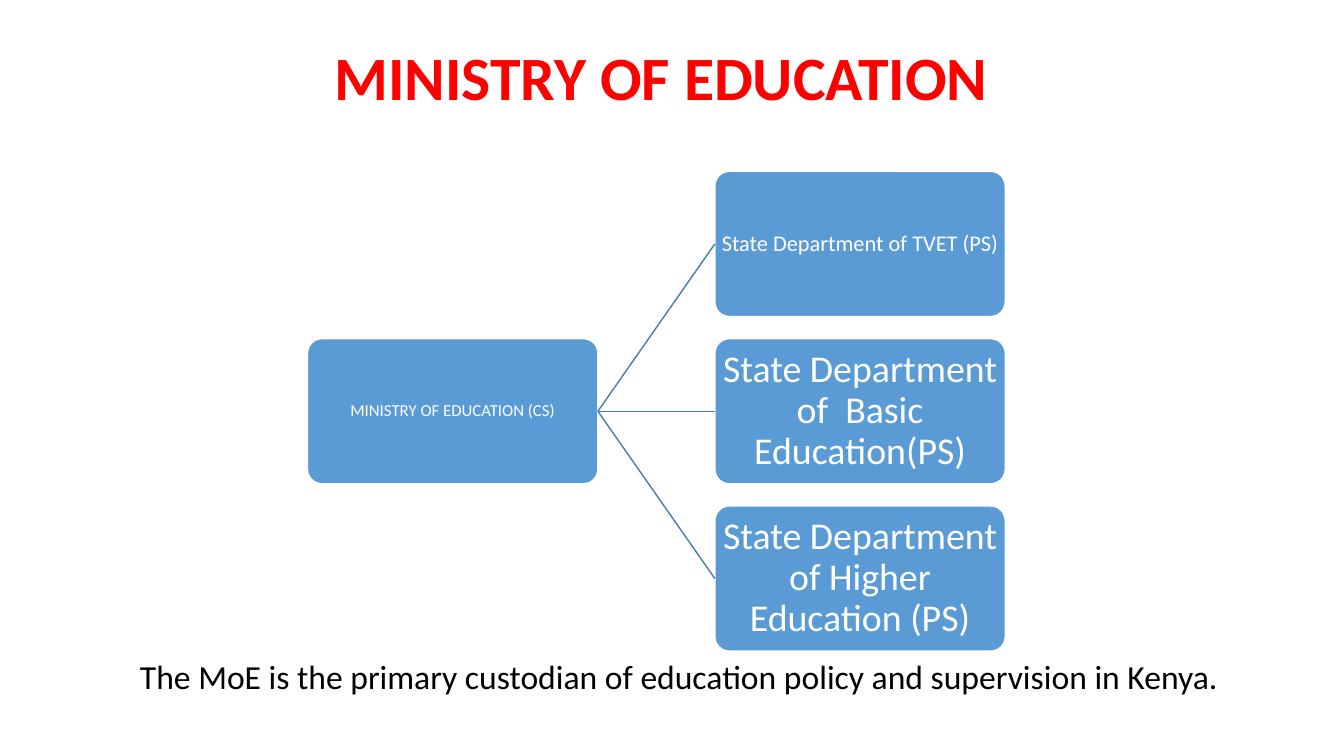
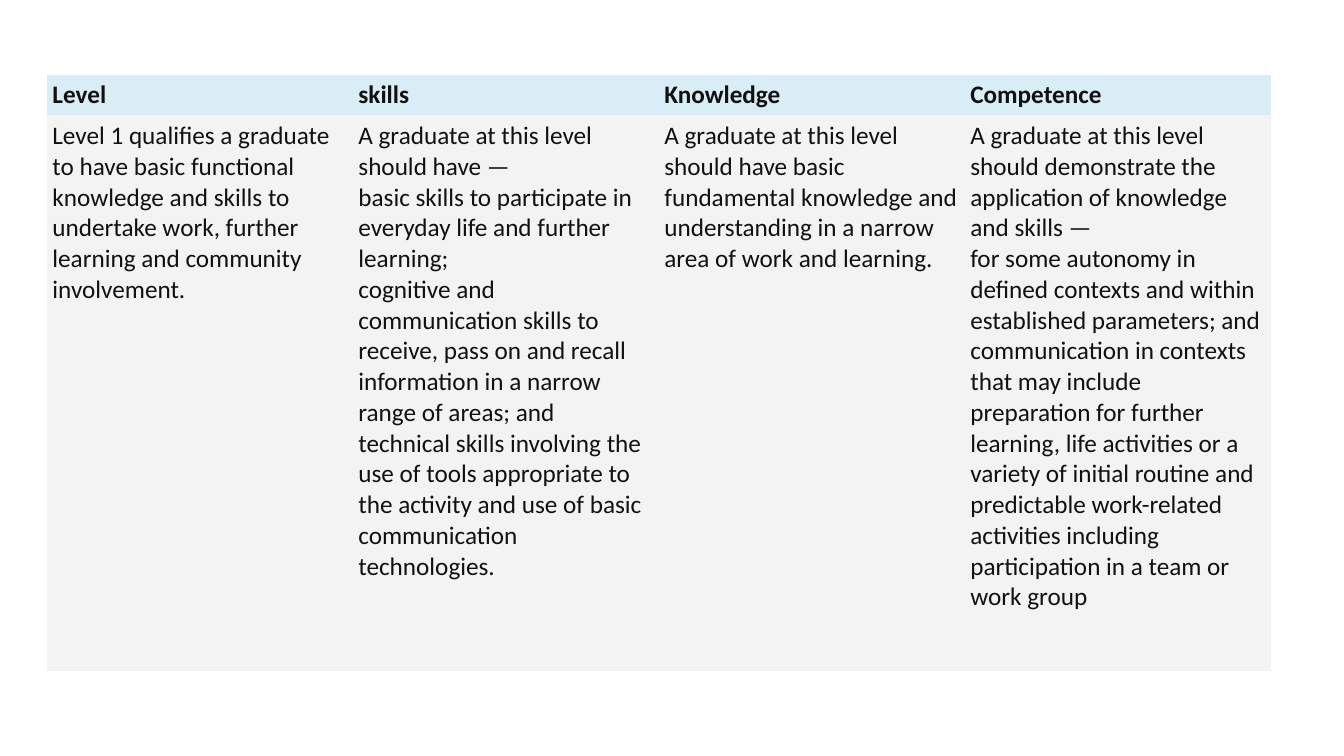
import pptx
import pptx.dml.color
import pptx.enum.shapes
import pptx.enum.text
import pptx.oxml
import pptx.oxml.ns
import pptx.util
from pptx.util import Inches

RGBColor = pptx.dml.color.RGBColor
ALIGN = pptx.enum.text.PP_ALIGN
ANCHOR = pptx.enum.text.MSO_ANCHOR

FONT = "Calibri"
RED = RGBColor(0xFF, 0x00, 0x00)
BLACK = RGBColor(0x00, 0x00, 0x00)
WHITE = RGBColor(0xFF, 0xFF, 0xFF)
BLUE = RGBColor(0x5B, 0x9B, 0xD5)
LINE_BLUE = RGBColor(0x49, 0x7C, 0xAB)
TABLE_TEXT = RGBColor(0x11, 0x11, 0x11)
HEADER_FILL = RGBColor(0xD9, 0xED, 0xF7)
BODY_FILL = RGBColor(0xF3, 0xF3, 0xF3)
PLAIN_TABLE_STYLE = "{2D5ABB26-0587-4C30-8999-92F81FD0307C}"

NODE_WIDTH, NODE_HEIGHT = 2.88, 1.44
NODE_PITCH = 1.66
COLUMN_PITCH = 4.04

MINISTRY = ("MINISTRY OF EDUCATION (CS)", 12)
DEPARTMENTS = [
    ("State Department of TVET (PS)", 16),
    ("State Department of  Basic Education(PS)", 27),
    ("State Department of Higher Education (PS)", 27),
]

LEVEL_TABLE = {
    "Level": [
        "Level 1\u00a0qualifies a graduate to have basic functional knowledge and "
        "skills to undertake work, further learning and community involvement.",
    ],
    "skills": [
        "A graduate at this level should have —",
        "basic skills to participate in everyday life and further learning;",
        "cognitive and communication skills to receive, pass on and recall "
        "information in a narrow range of areas; and",
        "technical skills involving the use of tools appropriate to the activity "
        "and use of basic communication technologies.",
    ],
    "Knowledge": [
        "A graduate at this level should have basic fundamental knowledge and "
        "understanding in a narrow area of work and learning.",
    ],
    "Competence": [
        "A graduate at this level should demonstrate the application of knowledge "
        "and skills —",
        "for some autonomy in defined contexts and within established parameters; and",
        "communication in contexts that may include preparation for further "
        "learning, life activities or a variety of initial routine and predictable "
        "work-related activities including participation in a team or work group",
    ],
}


def write_text(frame, lines, size, color, bold=False, align=ALIGN.LEFT, spacing=1.0):
    """Fill a text frame with one paragraph per line."""
    frame.word_wrap = True
    for index, line in enumerate(lines):
        paragraph = frame.add_paragraph() if index else frame.paragraphs[0]
        paragraph.alignment = align
        paragraph.line_spacing = spacing
        run = paragraph.add_run()
        run.text = line
        run.font.name = FONT
        run.font.size = pptx.util.Pt(size)
        run.font.bold = bold
        run.font.color.rgb = color


def add_text(slide, left, top, width, height, text, size, color,
             anchor=ANCHOR.TOP, **style):
    box = slide.shapes.add_textbox(
        Inches(left), Inches(top), Inches(width), Inches(height))
    box.text_frame.vertical_anchor = anchor
    write_text(box.text_frame, [text], size, color, **style)


def add_node(slide, left, top, text, size):
    node = slide.shapes.add_shape(
        pptx.enum.shapes.MSO_SHAPE.ROUNDED_RECTANGLE,
        Inches(left), Inches(top), Inches(NODE_WIDTH), Inches(NODE_HEIGHT))
    node.adjustments[0] = 0.1
    node.shadow.inherit = False
    node.fill.solid()
    node.fill.fore_color.rgb = BLUE
    node.line.color.rgb = WHITE
    node.line.width = pptx.util.Pt(1)
    frame = node.text_frame
    frame.margin_left = frame.margin_right = Inches(0.01)
    frame.margin_top = frame.margin_bottom = Inches(0.01)
    frame.vertical_anchor = ANCHOR.MIDDLE
    write_text(frame, [text], size, WHITE, align=ALIGN.CENTER, spacing=0.9)
    return node


def add_link(slide, parent, child):
    """Join the right side of the parent to the left side of the child."""
    link = slide.shapes.add_connector(
        pptx.enum.shapes.MSO_CONNECTOR.STRAIGHT, 0, 0, 0, 0)
    link.begin_connect(parent, 3)
    link.end_connect(child, 1)
    link.line.color.rgb = LINE_BLUE
    link.line.width = pptx.util.Pt(1)
    link.element.spPr.append(pptx.oxml.parse_xml(
        "<a:effectLst %s/>" % pptx.oxml.ns.nsdecls("a")))


def add_hierarchy(slide, left, top):
    middle = top + NODE_PITCH * (len(DEPARTMENTS) - 1) / 2
    ministry = add_node(slide, left, middle, *MINISTRY)
    for index, department in enumerate(DEPARTMENTS):
        child = add_node(
            slide, left + COLUMN_PITCH, top + index * NODE_PITCH, *department)
        add_link(slide, ministry, child)


def fill_cell(cell, lines, fill, bold):
    cell.fill.solid()
    cell.fill.fore_color.rgb = fill
    cell.margin_left = cell.margin_right = Inches(0.05)
    cell.margin_top = cell.margin_bottom = Inches(0.05)
    write_text(cell.text_frame, lines, 18, TABLE_TEXT, bold=bold)


def add_level_table(slide, left, top, width, header_height, body_height):
    graphic_frame = slide.shapes.add_table(
        2, len(LEVEL_TABLE), Inches(left), Inches(top), Inches(width),
        Inches(header_height + body_height))
    for style in graphic_frame.element.iter(pptx.oxml.ns.qn("a:tableStyleId")):
        style.text = PLAIN_TABLE_STYLE
    table = graphic_frame.table
    table.horz_banding = False
    table.rows[0].height = Inches(header_height)
    table.rows[1].height = Inches(body_height)
    for column, (heading, lines) in enumerate(LEVEL_TABLE.items()):
        table.columns[column].width = Inches(width / len(LEVEL_TABLE))
        fill_cell(table.cell(0, column), [heading], HEADER_FILL, True)
        fill_cell(table.cell(1, column), lines, BODY_FILL, False)


def build_ministry_slide(slide):
    add_text(slide, 1.13, 0, 11, 1.59, "MINISTRY OF EDUCATION ", 44, RED,
             anchor=ANCHOR.MIDDLE, bold=True, align=ALIGN.CENTER, spacing=0.9)
    add_hierarchy(slide, 3.05, 1.7)
    add_text(slide, 1.29, 6.46, 11.13, 0.81,
             "The MoE is the primary custodian of education policy and "
             "supervision in Kenya.", 24, BLACK)


def build_level_slide(slide):
    add_level_table(slide, 0.47, 0.74, 12.14, 0.4, 5.51)


def main():
    presentation = pptx.Presentation()
    presentation.slide_width = Inches(13.33)
    presentation.slide_height = Inches(7.5)
    blank = presentation.slide_layouts[6]
    for build in (build_ministry_slide, build_level_slide):
        build(presentation.slides.add_slide(blank))
    presentation.save("out.pptx")


if __name__ == "__main__":
    main()
